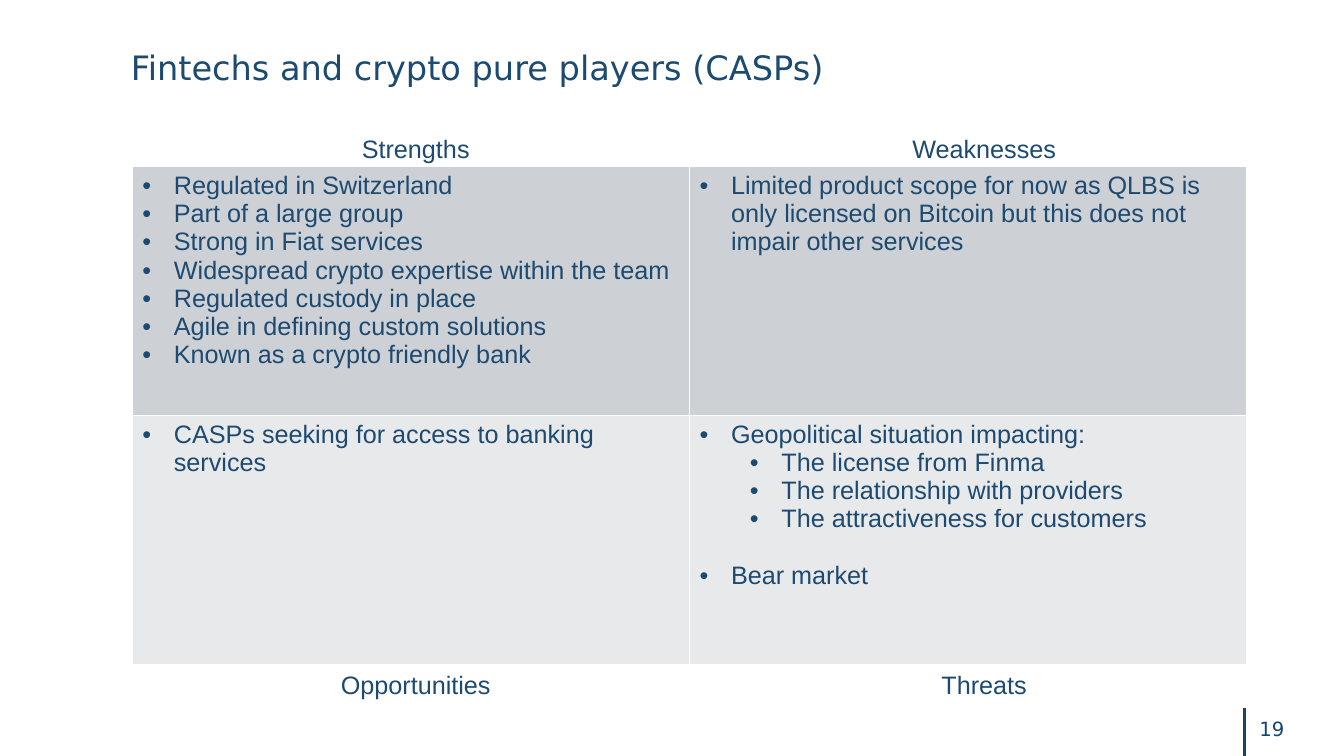
from lxml.etree import SubElement as Sub
from pptx import Presentation
from pptx.dml.color import RGBColor as RGB
from pptx.enum.shapes import MSO_CONNECTOR as Conn
from pptx.enum.text import PP_ALIGN as Align
from pptx.oxml.ns import qn
from pptx.util import Pt

HUES = {"ink": "1C4A70", "rule": "16446B", "top": "CDD0D5", "base": "E8E9EB", "edge": "FFFFFF"}
BODY = {"name": "Arial", "size": Pt(18)}
HEAD = {"name": "DejaVu Sans", "size": Pt(24)}
PAGE = {"name": "DejaVu Sans", "size": Pt(14)}

SWOT = [
    [
        [(0, "Regulated in Switzerland", 0), (0, "Part of a large group", 0),
         (0, "Strong in Fiat services", 0),
         (0, "Widespread crypto expertise within the team", 0),
         (0, "Regulated custody in place", 0),
         (0, "Agile in defining custom solutions", 0),
         (0, "Known as a crypto friendly bank", 0)],
        [(0, "Limited product scope for now as QLBS is only licensed on Bitcoin "
             "but this does not impair other services", 0)],
    ],
    [
        [(0, "CASPs seeking for access to banking services", 0)],
        [(0, "Geopolitical situation impacting:", 0), (1, "The license from Finma", 0),
         (1, "The relationship with providers", 0),
         (1, "The attractiveness for customers", 0), (0, "Bear market", 20.5)],
    ],
]
NAMES = [("Strengths", 297, 92, 94), ("Weaknesses", 703, 91.5, 117),
         ("Opportunities", 297, 474.5, 124), ("Threats", 703, 474.5, 76)]


def style(run, form, hue="ink"):
    """Set the font and colour of a run."""
    for key, val in form.items():
        setattr(run.font, key, val)
    run.font.color.rgb = RGB.from_string(HUES[hue])


def label(slide, box, text, form, hue="ink", align=Align.CENTER, wrap=False):
    """Place one line of text in a box and return its frame."""
    frame = slide.shapes.add_textbox(*map(Pt, box)).text_frame
    frame.word_wrap = wrap
    para = frame.paragraphs[0]
    para.alignment = align
    run = para.add_run()
    run.text = text
    style(run, form, hue)
    return frame


def title(slide, box, text):
    """Place the slide title."""
    frame = label(slide, box, text, HEAD, align=Align.LEFT, wrap=True)
    frame.margin_left = frame.margin_top = 0
    frame.paragraphs[0].line_spacing = 0.9


def bullet(para, level, text, gap):
    """Fill a paragraph with one bulleted line."""
    para.level = level
    para.space_before = Pt(gap)
    props = para._p.get_or_add_pPr()
    props.set("marL", str(Pt(22.5 + 36 * level)))
    props.set("indent", str(Pt(-22.5)))
    Sub(props, qn("a:buFont"), typeface="Arial")
    Sub(props, qn("a:buChar"), char="•")
    run = para.add_run()
    run.text = text
    style(run, BODY)


def edge(cell):
    """Draw thin borders round a cell."""
    props = cell._tc.get_or_add_tcPr()
    for spot, side in enumerate(("lnL", "lnR", "lnT", "lnB")):
        line = props.makeelement(qn("a:" + side), {"w": str(Pt(1))})
        Sub(Sub(line, qn("a:solidFill")), qn("a:srgbClr"), val=HUES["edge"])
        props.insert(spot, line)


def matrix(slide, box):
    """Place the table of four quadrants."""
    grid = slide.shapes.add_table(2, 2, *map(Pt, box)).table
    grid.first_row = grid.horz_banding = False
    for row, (hue, cells) in enumerate(zip(("top", "base"), SWOT)):
        for col, items in enumerate(cells):
            cell = grid.cell(row, col)
            cell.fill.solid()
            cell.fill.fore_color.rgb = RGB.from_string(HUES[hue])
            edge(cell)
            frame = cell.text_frame
            for spot, item in enumerate(items):
                para = frame.add_paragraph() if spot else frame.paragraphs[0]
                bullet(para, *item)


def footer(slide, box, text):
    """Place the page number and the rule at its left."""
    left, top, wide, high = box
    line = slide.shapes.add_connector(
        Conn.STRAIGHT, Pt(left), Pt(top + high), Pt(left), Pt(top))
    line.line.color.rgb = RGB.from_string(HUES["rule"])
    line.line.width = Pt(1.5)
    Sub(line._element.spPr, qn("a:effectLst"))
    label(slide, (left, top + 3, wide, 24.5), text, PAGE, "rule")


def main():
    """Build and save the slide."""
    deck = Presentation()
    deck.slide_width, deck.slide_height = Pt(960), Pt(540)
    slide = deck.slides.add_slide(deck.slide_layouts[6])
    footer(slide, (889, 505.5, 39, 34.5), "19")
    matrix(slide, (94.5, 119, 796, 355.5))
    title(slide, (93.5, 36.5, 840, 31.5), "Fintechs and crypto pure players (CASPs)")
    for text, mid, top, wide in NAMES:
        label(slide, (mid - wide / 2, top, wide, 29), text, BODY)
    deck.save("out.pptx")


if __name__ == "__main__":
    main()
